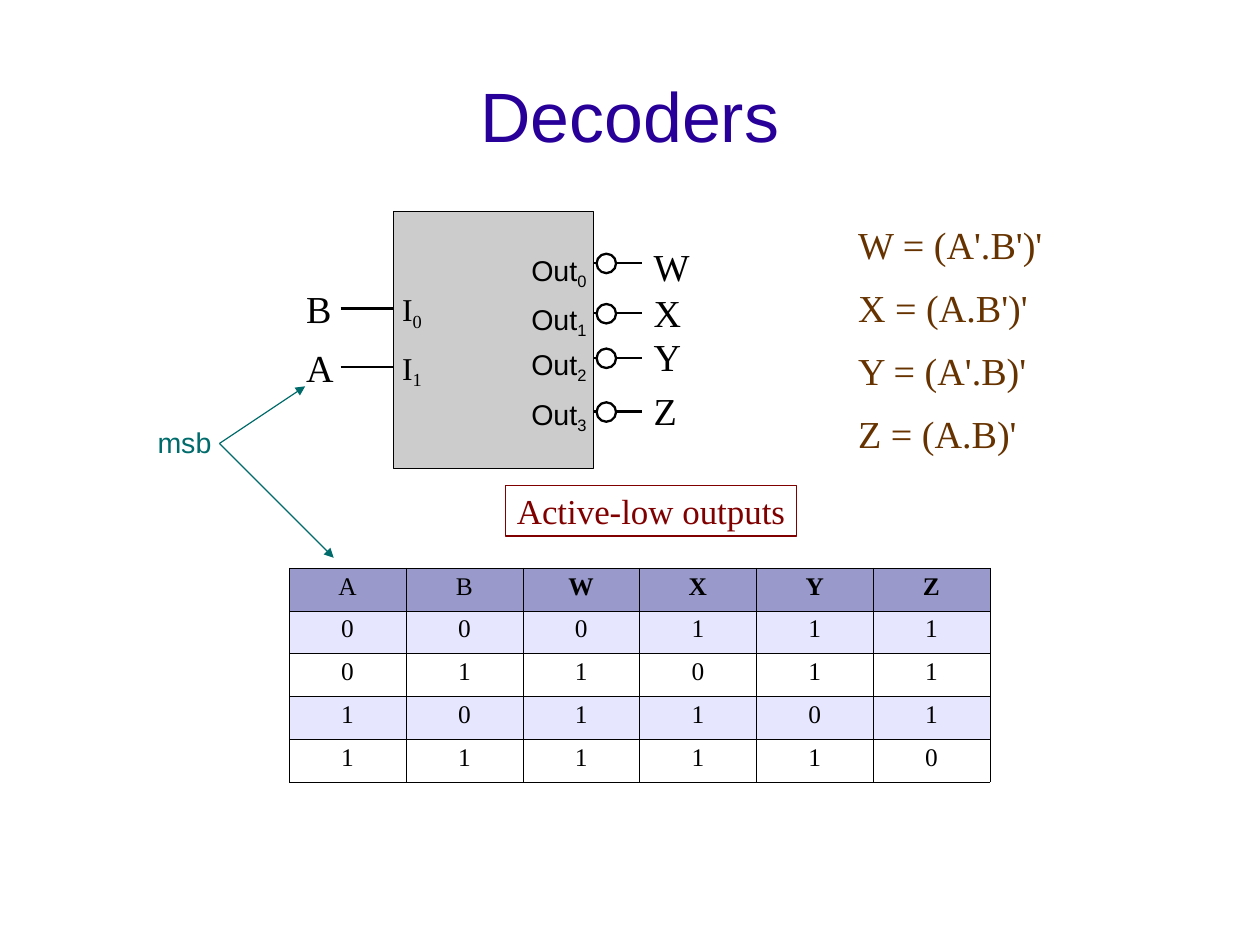
"""Build the Decoders slide: active-low decoder, output equations and truth table."""
from lxml import etree
from pptx import Presentation
from pptx.dml.color import RGBColor
from pptx.enum.shapes import MSO_CONNECTOR, MSO_SHAPE
from pptx.enum.text import MSO_ANCHOR, PP_ALIGN
from pptx.oxml.ns import qn
from pptx.util import Inches, Mm, Pt

SERIF, SANS = "Times New Roman", "Arial"
BLACK, MAROON, BROWN, TEAL = "000000", "800000", "663300", "006B6B"
HEADER, BAND, WHITE = "9999CC", "E6E6FF", "FFFFFF"

# name, name width, wire y, name y
INPUTS = [("B", 0.44, 2.7, 2.46), ("A", 0.46, 3.21, 2.97)]
# name, name width, wire y, name y, pin label y
OUTPUTS = [
    ("W", 0.53, 2.3, 2.09, 2.15),
    ("X", 0.46, 2.74, 2.49, 2.58),
    ("Y", 0.46, 3.13, 2.88, 2.97),
    ("Z", 0.42, 3.6, 3.35, 3.41),
]
EQUATIONS = [
    ("W = (A'.B')'", 1.84),
    ("X = (A.B')'", 1.72),
    ("Y = (A'.B)'", 1.7),
    ("Z = (A.B)'", 1.62),
]
TRUTH_TABLE = ["ABWXYZ", "000111", "011011", "101101", "111110"]
MSB_START = (1.92, 3.88)
MSB_TARGETS = [(2.67, 3.38), (2.92, 4.88)]


def rgb(color):
    return RGBColor.from_string(color)


def add_run(p, text, size, font, color, bold=False, sub=False):
    r = p.add_run()
    r.text = text
    r.font.size, r.font.name, r.font.bold = Pt(size), font, bold
    r.font.color.rgb = rgb(color)
    if sub:
        r._r.get_or_add_rPr().set("baseline", "-20000")


def set_frame(tf, top=0.07):
    tf.word_wrap = False
    tf.vertical_anchor = MSO_ANCHOR.TOP
    tf.margin_left = tf.margin_right = Inches(0.1)
    tf.margin_top, tf.margin_bottom = Inches(top), Inches(0.05)


def add_label(text, x, y, w, h=0.47, size=24, font=SERIF, color=BLACK, sub="", top=0.07):
    tf = s.shapes.add_textbox(Inches(x), Inches(y), Inches(w), Inches(h)).text_frame
    set_frame(tf, top)
    p = tf.paragraphs[0]
    p.line_spacing = 0.93 if font == SANS else 0.95
    add_run(p, text, size, font, color)
    if sub:
        add_run(p, sub, size, font, color, sub=True)


def add_line(start, end, color=BLACK, width=1.45, arrow=False):
    line = s.shapes.add_connector(MSO_CONNECTOR.STRAIGHT, *map(Inches, start + end))
    line.line.color.rgb, line.line.width = rgb(color), Pt(width)
    if arrow:
        etree.SubElement(line.line._get_or_add_ln(), qn("a:tailEnd"), type="triangle")
    etree.SubElement(line._element.spPr, qn("a:effectLst"))


def add_box(kind, x, y, w, h, fill=None, color=BLACK, width=0.75):
    sp = s.shapes.add_shape(kind, *map(Inches, (x, y, w, h)))
    sp.shadow.inherit = False
    if fill:
        sp.fill.solid()
        sp.fill.fore_color.rgb = rgb(fill)
    else:
        sp.fill.background()
    sp.line.color.rgb, sp.line.width = rgb(color), Pt(width)
    return sp


def format_cell(cell, text, fill, bold):
    p = cell.text_frame.paragraphs[0]
    p.alignment, p.line_spacing = PP_ALIGN.CENTER, 0.95
    add_run(p, text, 16, SERIF, BLACK, bold)
    tc_pr = cell._tc.get_or_add_tcPr()
    for side in ("lnL", "lnR", "lnT", "lnB"):
        ln = etree.SubElement(tc_pr, qn(f"a:{side}"), w=str(int(Pt(0.06))))
        solid = etree.SubElement(ln, qn("a:solidFill"))
        etree.SubElement(solid, qn("a:srgbClr"), val=BLACK)
    cell.margin_left = cell.margin_right = Inches(0.1)
    cell.margin_top = cell.margin_bottom = Inches(0.05)
    cell.fill.solid()
    cell.fill.fore_color.rgb = rgb(fill)


prs = Presentation()
prs.slide_width, prs.slide_height = Mm(280), Mm(210)
s = prs.slides.add_slide(prs.slide_layouts[5])

title = s.shapes.title
title.left, title.top, title.width, title.height = map(Inches, (0.55, 0.38, 9.92, 1.28))
tf = title.text_frame
tf.margin_left = tf.margin_right = tf.margin_bottom = 0
tf.margin_top = Inches(0.04)
tf.vertical_anchor = MSO_ANCHOR.MIDDLE
p = tf.paragraphs[0]
p.alignment, p.line_spacing = PP_ALIGN.CENTER, 0.93
add_run(p, "Decoders", 44, SANS, "280099")

n_rows, n_cols = len(TRUTH_TABLE), len(TRUTH_TABLE[0])
frame = s.shapes.add_table(n_rows, n_cols, *map(Inches, (2.53, 4.97, 6.13, 1.87)))
table = frame.table
for i, values in enumerate(TRUTH_TABLE):
    fill = HEADER if i == 0 else BAND if i % 2 else WHITE
    for j, value in enumerate(values):
        format_cell(table.cell(i, j), value, fill, bold=i == 0 and j >= len(INPUTS))

caption = add_box(MSO_SHAPE.RECTANGLE, 4.42, 4.25, 2.55, 0.44, color=MAROON)
set_frame(caption.text_frame, 0.06)
p = caption.text_frame.paragraphs[0]
p.alignment, p.line_spacing = PP_ALIGN.CENTER, 0.95
add_run(p, "Active-low outputs", 22, SERIF, MAROON)

for i, (equation, w) in enumerate(EQUATIONS):
    add_label(equation, 7.41, 1.9 + 0.55 * i, w, color=BROWN)

add_label("msb", 1.28, 3.67, 0.7, 0.38, 18, SANS, TEAL)
for target in MSB_TARGETS:
    add_line(MSB_START, target, TEAL, 0.75, arrow=True)

for x, pins in ((2.98, INPUTS), (4.87, OUTPUTS)):
    for pin in pins:
        add_line((x, pin[2]), (x + 0.75, pin[2]))

add_box(MSO_SHAPE.RECTANGLE, 3.44, 1.85, 1.75, 2.25, fill="CCCCCC")

for i, (name, w, wire_y, name_y) in enumerate(INPUTS):
    add_label(name, 2.58, name_y, w)
    add_label("I", 3.42, name_y + 0.02, 0.4, 0.44, 20, sub=str(i), top=0.06)

for i, (name, w, wire_y, name_y, pin_y) in enumerate(OUTPUTS):
    add_label(name, 5.62, name_y, w)
    add_label("Out", 4.55, pin_y, 0.72, 0.41, 18, SANS, sub=str(i))
    add_box(MSO_SHAPE.OVAL, 5.22, wire_y - 0.08, 0.17, 0.17, fill=WHITE, width=1.45)

prs.save("out.pptx")
